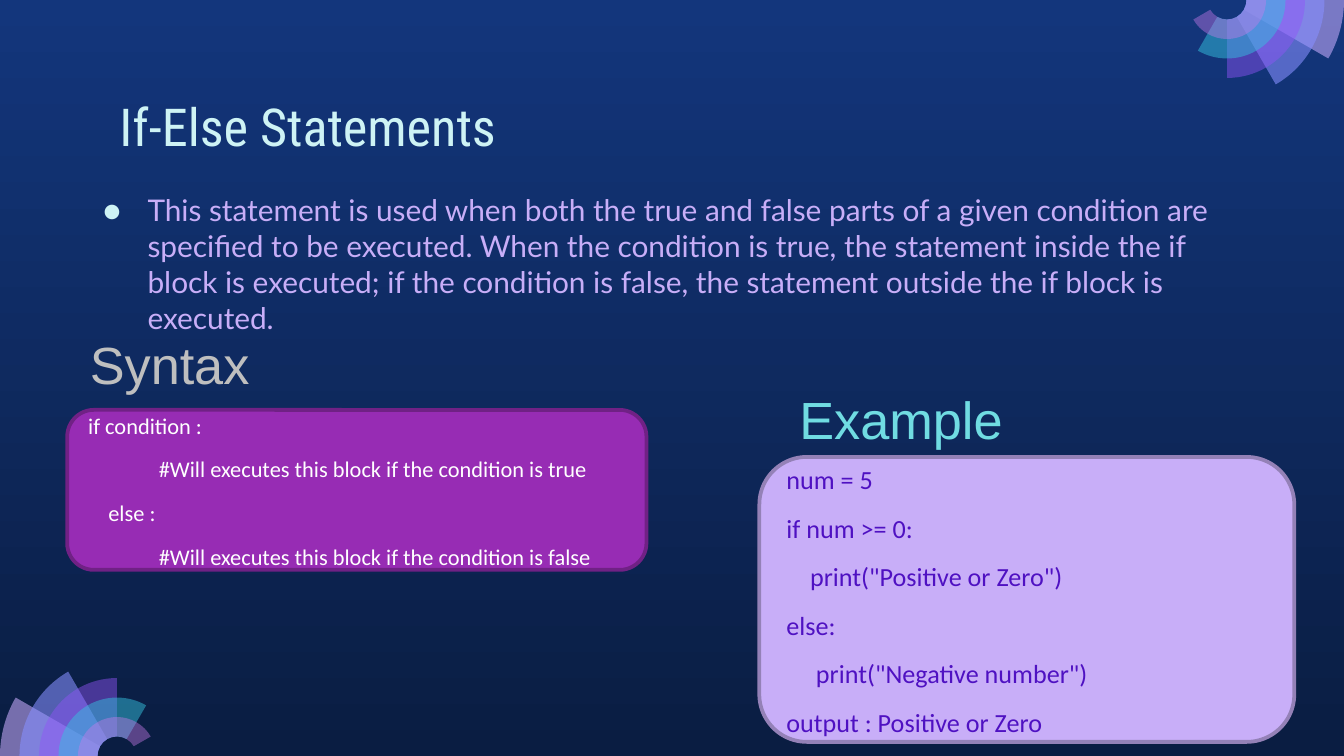
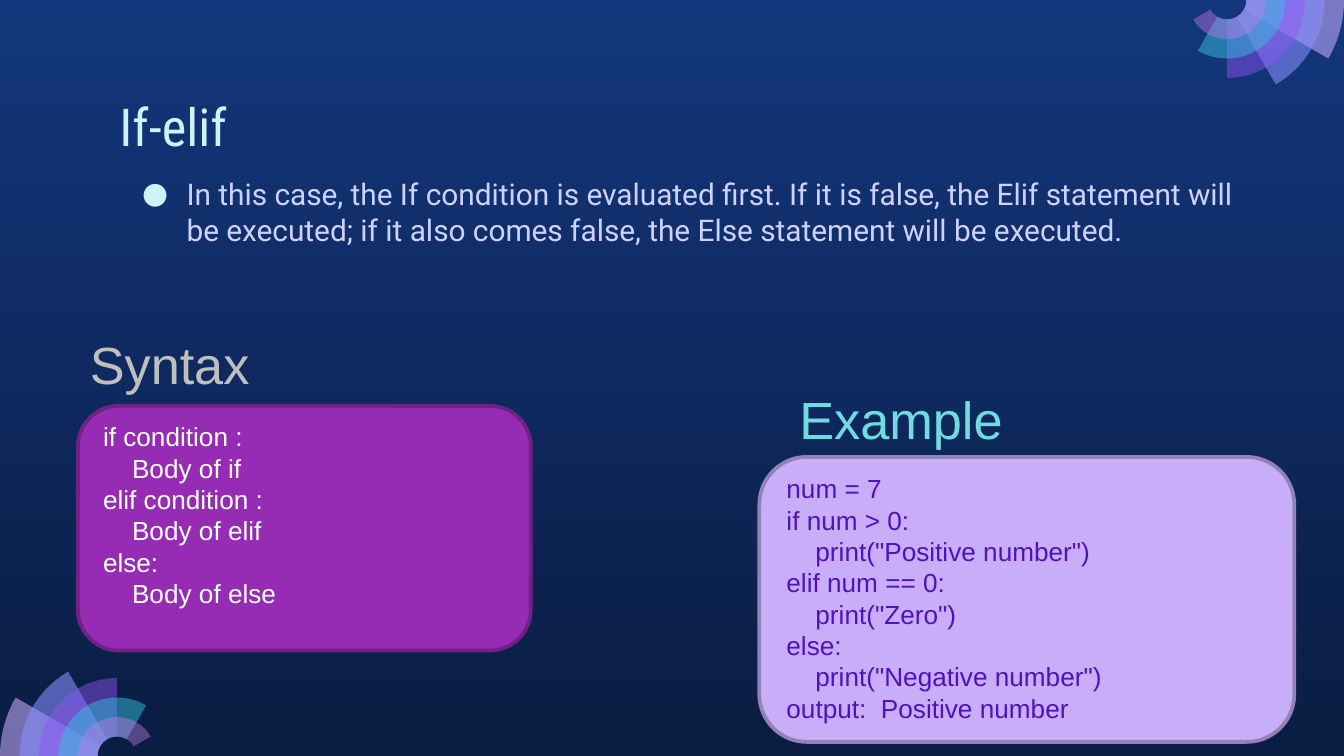
import math

import lxml.etree
import pptx
import pptx.dml.color
import pptx.enum.shapes
import pptx.enum.text
import pptx.oxml.ns
import pptx.util

Inches = pptx.util.Inches
ANCHOR = pptx.enum.text.MSO_ANCHOR

WIDTH, HEIGHT = 10, 5.625
NIGHT_TOP, NIGHT_BOTTOM = "13367C", "0A1D42"
ICE, AQUA, SILVER, WHITE = "CEF3F5", "70DCE2", "BFBFBF", "FFFFFF"
PURPLE, PURPLE_EDGE = "972CB4", "702185"
LILAC, LILAC_EDGE, VIOLET = "C8AEF8", "9481B7", "4F11C2"

# Fan rings from the outside in: colour and opacity in percent
FAN_RINGS = [("C8ACFD", 57), ("878FFF", 58), ("9154F8", 46), ("35C2DF", 49), ("CA7BEB", 42)]
RING_STEP = 0.145
FAN_RADIUS = 6 * RING_STEP


def color(value):
    return pptx.dml.color.RGBColor.from_string(value)


def add_element(parent, tag, **attributes):
    element = lxml.etree.SubElement(parent, pptx.oxml.ns.qn(tag))
    for name, value in attributes.items():
        element.set(name, str(value))
    return element


def write_text(shape, lines, size, font, ink, anchor=ANCHOR.TOP, insets=(0.1, 0.05, 0.1, 0.05),
               line_spacing=None, space_after=None, bullet=None):
    """Fill a shape with one paragraph per line."""
    frame = shape.text_frame
    frame.word_wrap = True
    frame.vertical_anchor = anchor
    (frame.margin_left, frame.margin_top,
     frame.margin_right, frame.margin_bottom) = map(Inches, insets)
    for index, line in enumerate(lines):
        paragraph = frame.paragraphs[0] if index == 0 else frame.add_paragraph()
        paragraph.alignment = pptx.enum.text.PP_ALIGN.LEFT
        if line_spacing:
            paragraph.line_spacing = line_spacing
        if space_after:
            paragraph.space_after = pptx.util.Pt(space_after)
        if bullet:
            properties = paragraph._p.get_or_add_pPr()
            properties.set("marL", str(Inches(0.5)))
            properties.set("indent", str(Inches(-0.33)))
            add_element(add_element(properties, "a:buClr"), "a:srgbClr", val=bullet)
            add_element(properties, "a:buFont", typeface=font)
            add_element(properties, "a:buChar", char="●")
        run = paragraph.add_run()
        run.text = line
        run.font.size = pptx.util.Pt(size)
        run.font.name = font
        run.font.color.rgb = color(ink)


def add_ring_sector(shapes, center, radius, start, sweep):
    """Draw a ring sector, its arcs split at the quarter turn."""
    stops = [start + angle for angle in sorted({0, min(90, sweep), sweep})]
    edges = [(radius, angle) for angle in stops] + [(RING_STEP, angle) for angle in stops[::-1]]
    points = [(Inches(center[0] + reach * math.cos(math.radians(angle))),
               Inches(center[1] + reach * math.sin(math.radians(angle))))
              for reach, angle in edges]
    builder = shapes.build_freeform(*points[0], scale=1.0)
    builder.add_line_segments(points[1:], close=True)
    shape = builder.convert_to_shape()
    # Bend the segments that stay on one radius
    segments = list(shape._element.iter(pptx.oxml.ns.qn("a:lnTo")))
    for segment, (reach, angle), (next_reach, next_angle) in zip(segments, edges, edges[1:]):
        if reach == next_reach:
            arc = add_element(segment.getparent(), "a:arcTo", wR=Inches(reach), hR=Inches(reach),
                              stAng=angle * 60000, swAng=(next_angle - angle) * 60000)
            segment.getparent().replace(segment, arc)
    return shape


class Deck:
    """Holds the shared style and the current slide."""

    def __init__(self):
        self.presentation = pptx.Presentation()
        self.presentation.slide_width = Inches(WIDTH)
        self.presentation.slide_height = Inches(HEIGHT)
        self.slide = None

    def new_slide(self, title):
        self.slide = self.presentation.slides.add_slide(self.presentation.slide_layouts[6])
        fill = self.slide.background.fill
        fill.gradient()
        fill.gradient_angle = 270
        for stop, value in zip(fill.gradient_stops, (NIGHT_TOP, NIGHT_BOTTOM)):
            stop.color.rgb = color(value)
        self.fan((FAN_RADIUS, HEIGHT), 180)
        self.fan((WIDTH - FAN_RADIUS, 0), 0)
        self.text(0.79, 0.6, 8.43, 0.63, [title], size=28, font="Roboto Condensed",
                  ink=ICE, insets=(0.1,) * 4)

    def fan(self, center, start):
        """Five ring sectors, each narrower and sweeping 30 degrees further."""
        group = self.slide.shapes.add_group_shape()
        for index, (value, opacity) in enumerate(FAN_RINGS):
            shape = add_ring_sector(group.shapes, center, FAN_RADIUS - index * RING_STEP,
                                    start, 30 * (index + 1))
            shape.shadow.inherit = False
            shape.line.fill.background()
            shape.fill.solid()
            shape.fill.fore_color.rgb = color(value)
            solid = shape._element.spPr.find(pptx.oxml.ns.qn("a:solidFill"))
            add_element(solid[0], "a:alpha", val=opacity * 1000)

    def text(self, left, top, width, height, lines, **style):
        box = self.slide.shapes.add_textbox(*map(Inches, (left, top, width, height)))
        write_text(box, lines, **style)
        return box

    def body(self, left, top, sentence, font, ink):
        self.text(left, top, 8.63, 3.44, [sentence], size=16, font=font, ink=ink,
                  insets=(0.1,) * 4, bullet=ICE)

    def heading(self, left, top, label, ink):
        box = self.text(left, top, 1.82, 0.57, [label], size=28, font="Arial", ink=ink)
        box.text_frame.auto_size = pptx.enum.text.MSO_AUTO_SIZE.SHAPE_TO_FIT_TEXT

    def panel(self, left, top, width, height, lines, fill, edge, **style):
        shape = self.slide.shapes.add_shape(
            pptx.enum.shapes.MSO_SHAPE.ROUNDED_RECTANGLE,
            *map(Inches, (left, top, width, height)))
        shape.shadow.inherit = False
        shape.fill.solid()
        shape.fill.fore_color.rgb = color(fill)
        shape.line.color.rgb = color(edge)
        shape.line.width = pptx.util.Pt(2)
        write_text(shape, lines, anchor=ANCHOR.MIDDLE, **style)

    def syntax(self, left, top, width, height, lines, **style):
        self.heading(0.57, 2.42, "Syntax", SILVER)
        self.panel(left, top, width, height, lines, PURPLE, PURPLE_EDGE, ink=WHITE, **style)

    def example(self, lines, **style):
        self.heading(5.85, 2.83, "Example", AQUA)
        self.panel(5.65, 3.4, 3.98, 2.12, lines, LILAC, LILAC_EDGE, size=14, ink=VIOLET, **style)


def main():
    deck = Deck()

    # If-else
    deck.new_slide("If-Else Statements")
    deck.body(0.5, 1.33,
              "This statement is used when both the true and false parts of a given condition are "
              "specified to be executed. When the condition is true, the statement inside the if "
              "block is executed; if the condition is false, the statement outside the if block is "
              "executed.", "Lato", LILAC)
    spaced = {"font": "Calibri", "line_spacing": 1.07, "space_after": 8}
    deck.syntax(0.5, 3.05, 4.31, 1.19, [
        "if condition :",
        "              #Will executes this block if the condition is true",
        "    else :",
        "              #Will executes this block if the condition is false",
    ], size=12, **spaced)
    deck.example([
        "num = 5",
        "if num >= 0:",
        '    print("Positive or Zero")',
        "else:",
        '     print("Negative number")',
        "output : Positive or Zero",
    ], **spaced)

    # If-elif
    deck.new_slide("If-elif")
    deck.body(0.79, 1.21,
              "In this case, the If condition is evaluated first. If it is false, the Elif statement "
              "will be executed; if it also comes false, the Else statement will be executed.",
              "Roboto", "CFD2FF")
    deck.syntax(0.58, 3.02, 3.37, 1.82, [
        "if condition :",
        "    Body of if",
        "elif condition :",
        "    Body of elif",
        "else:",
        "    Body of else",
    ], size=14, font="Arial", insets=(0.1, 0.05, 0.1, 0.25))
    deck.example([
        "num = 7",
        "if num > 0:",
        '    print("Positive number")',
        "elif num == 0:",
        '    print("Zero")',
        "else:",
        '    print("Negative number")',
        "output:  Positive number",
    ], font="Arial", insets=(0.1, 0.05, 0.1, 0.07))

    deck.presentation.save("out.pptx")


if __name__ == "__main__":
    main()
